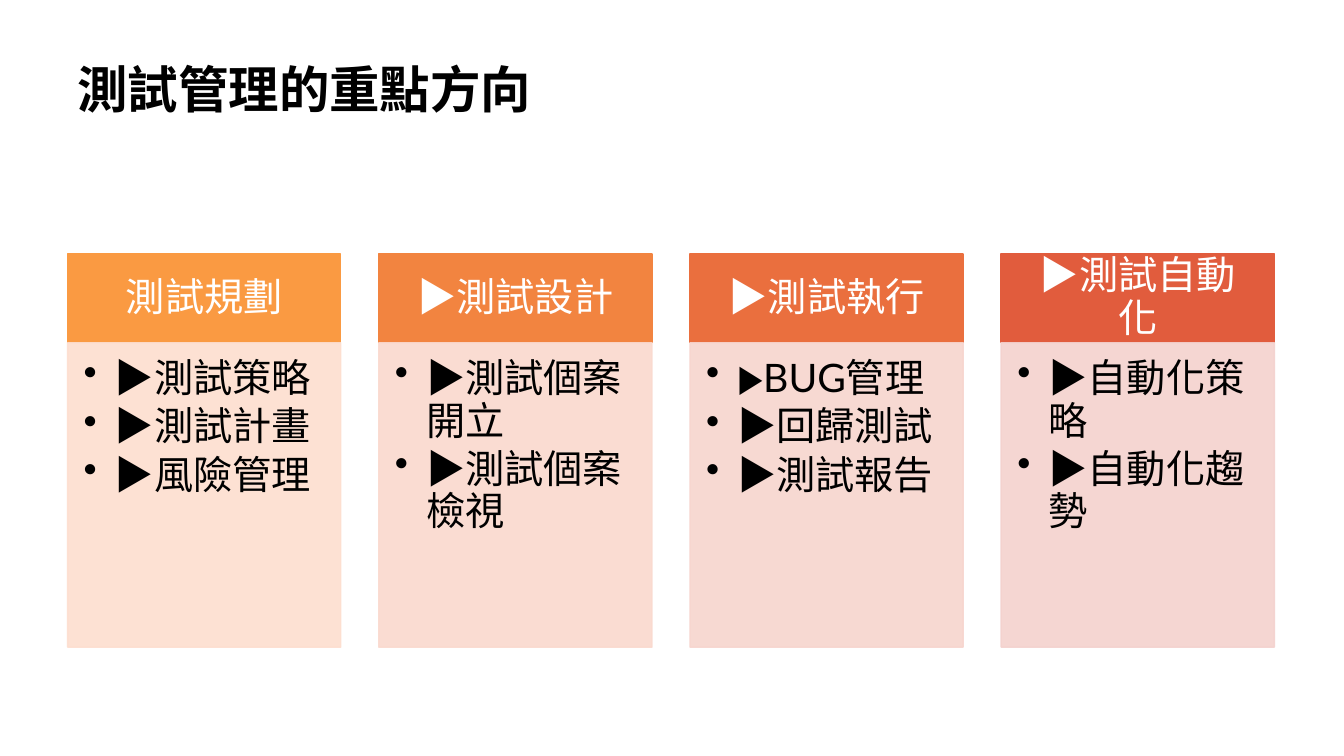
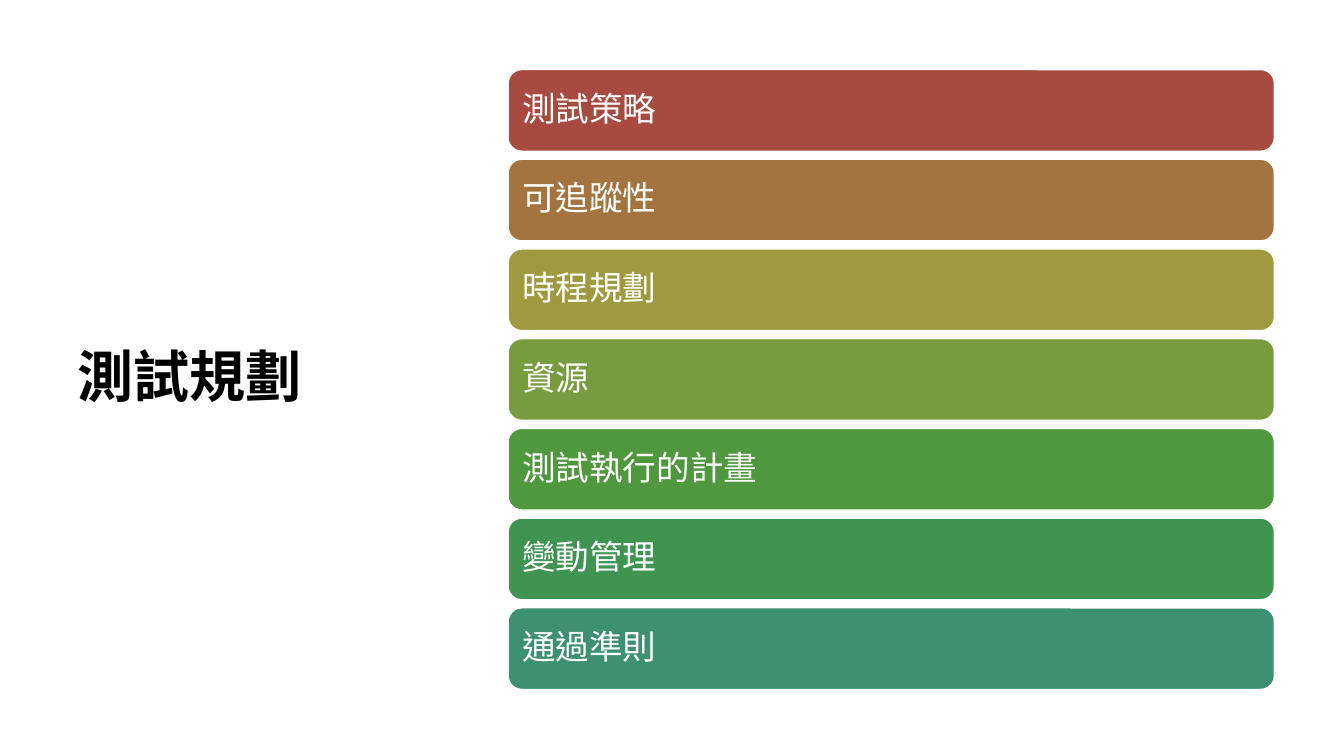
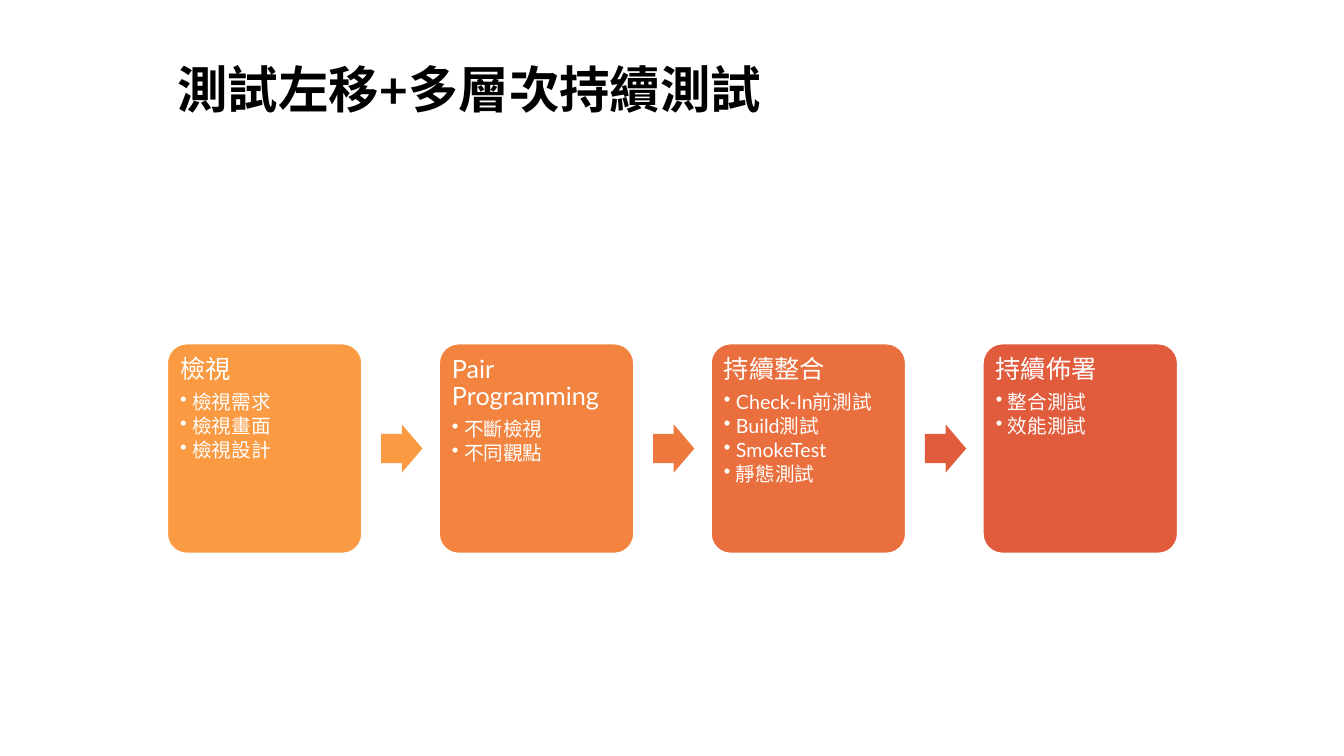
"""Builds three slides on test management: focus areas, planning topics and continuous testing."""
from lxml.etree import SubElement
from pptx import Presentation
from pptx.dml.color import RGBColor
from pptx.enum.shapes import MSO_SHAPE
from pptx.enum.text import MSO_ANCHOR, PP_ALIGN
from pptx.oxml.ns import qn
from pptx.util import Inches, Pt

SLIDE_WIDTH, SLIDE_HEIGHT = 13.33, 7.5
MARGIN, CONTENT_WIDTH = 0.67, 11.97
FLOW_LEFT, FLOW_WIDTH = 1.66, 10.02
TITLE_TOP, TITLE_HEIGHT = 0.6, 1.24
FONT = "Lato"
LANGUAGE = "zh-TW"
LINE_SPACING = 0.9
HEADING_GAP, BULLET_GAP = 0.35, 0.15

BLACK = RGBColor(0x00, 0x00, 0x00)
WHITE = RGBColor(0xFF, 0xFF, 0xFF)
AMBER = RGBColor(0xFA, 0x9A, 0x42)
ORANGE = RGBColor(0xF2, 0x84, 0x40)
TANGERINE = RGBColor(0xEE, 0x79, 0x3F)
CORAL = RGBColor(0xEA, 0x6F, 0x3E)
VERMILION = RGBColor(0xE1, 0x5C, 0x3D)
PALE_AMBER = RGBColor(0xFD, 0xDE, 0xCF)
PALE_ORANGE = RGBColor(0xFA, 0xD9, 0xCE)
PALE_CORAL = RGBColor(0xF7, 0xD5, 0xCE)
PALE_VERMILION = RGBColor(0xF4, 0xD2, 0xCE)
BRICK = RGBColor(0xA7, 0x4B, 0x40)
BROWN = RGBColor(0xA3, 0x74, 0x40)
OLIVE = RGBColor(0x9F, 0x9A, 0x3F)
MOSS = RGBColor(0x79, 0x9B, 0x3F)
LEAF = RGBColor(0x50, 0x98, 0x3E)
GREEN = RGBColor(0x3E, 0x94, 0x50)
TEAL = RGBColor(0x3D, 0x90, 0x72)

FOCUS_AREAS = [
    ("測試規劃", ["▶測試策略", "▶測試計畫", "▶風險管理"], AMBER, PALE_AMBER),
    ("▶測試設計", ["▶測試個案開立", "▶測試個案檢視"], ORANGE, PALE_ORANGE),
    ("▶測試執行", ["▶BUG管理", "▶回歸測試", "▶測試報告"], CORAL, PALE_CORAL),
    ("▶測試自動化", ["▶自動化策略", "▶自動化趨勢"], VERMILION, PALE_VERMILION),
]
PLANNING_TOPICS = [
    ("測試策略", BRICK),
    ("可追蹤性", BROWN),
    ("時程規劃", OLIVE),
    ("資源", MOSS),
    ("測試執行的計畫", LEAF),
    ("變動管理", GREEN),
    ("通過準則", TEAL),
]
STAGES = [
    ("檢視", ["檢視需求", "檢視畫面", "檢視設計"], AMBER),
    ("Pair Programming", ["不斷檢視", "不同觀點"], ORANGE),
    ("持續整合", ["Check-In前測試", "Build測試", "SmokeTest", "靜態測試"], CORAL),
    ("持續佈署", ["整合測試", "效能測試"], VERMILION),
]
ARROW_COLORS = [AMBER, TANGERINE, VERMILION]


def spread(start, length, count, size):
    """Return the starts of equal items spread over a length."""
    pitch = (length - size) / (count - 1)
    return [start + index * pitch for index in range(count)]


def set_opacity(block, percent):
    """Make the fill and outline of a block partly transparent."""
    for color in list(block._element.spPr.iter(qn("a:srgbClr"))):
        SubElement(color, qn("a:alpha")).set("val", str(percent * 1000))


def add_block(slide, preset, box, fill, outline=None, corner=None):
    """Draw a filled preset shape, outlined only when a colour is given."""
    block = slide.shapes.add_shape(preset, *map(Inches, box))
    block.shadow.inherit = False
    block.fill.solid()
    block.fill.fore_color.rgb = fill
    if outline is None:
        block.line.fill.background()
    else:
        block.line.color.rgb = outline
        block.line.width = Pt(1)
    if corner is not None:
        block.adjustments[0] = corner
    return block


def prepare_frame(shape, insets, anchor=MSO_ANCHOR.TOP):
    """Set wrapping, anchor and insets (left, top, right, bottom) of a text frame."""
    frame = shape.text_frame
    frame.word_wrap = True
    frame.vertical_anchor = anchor
    frame.margin_left, frame.margin_top, frame.margin_right, frame.margin_bottom = map(Inches, insets)
    return frame


def write(paragraph, text, size, color, gap=0.0, indent=None, align=PP_ALIGN.LEFT, bold=False):
    """Fill a paragraph, bulleted when an indent is given; gap is a share of the size."""
    paragraph.text = text
    paragraph.alignment = align
    paragraph.line_spacing = LINE_SPACING
    paragraph.space_after = Pt(size * gap)
    if indent is not None:
        paragraph.level = 1
        properties = paragraph._p.get_or_add_pPr()
        properties.set("marL", str(Inches(indent)))
        properties.set("indent", str(-Inches(indent)))
        SubElement(properties, qn("a:buChar")).set("char", "•")
    for run in paragraph.runs:
        run.font.name = FONT
        run.font.size = Pt(size)
        run.font.bold = bold
        run.font.color.rgb = color
        run._r.get_or_add_rPr().set("lang", LANGUAGE)


def write_bullets(frame, items, size, color, indent):
    """Write bullets below whatever the frame already holds."""
    for item in items:
        first = frame.paragraphs[0]
        paragraph = frame.add_paragraph() if first.runs else first
        write(paragraph, item, size, color, BULLET_GAP, indent)


def add_title(slide, text, left, width, height=TITLE_HEIGHT, size=36, anchor=MSO_ANCHOR.TOP):
    """Add a bold slide title."""
    title = slide.shapes.add_textbox(*map(Inches, (left, TITLE_TOP, width, height)))
    frame = prepare_frame(title, (0.1, 0.05, 0.1, 0.05), anchor)
    write(frame.paragraphs[0], text, size, BLACK, bold=True)


def build_focus_slide(slide):
    """Show the focus areas as headed columns."""
    add_title(slide, "測試管理的重點方向", MARGIN, CONTENT_WIDTH)
    width, top, heading_height, body_height = 2.71, 2.52, 0.88, 3.02
    lefts = spread(MARGIN, CONTENT_WIDTH, len(FOCUS_AREAS), width)
    for left, (area, tasks, color, tint) in zip(lefts, FOCUS_AREAS):
        heading = add_block(slide, MSO_SHAPE.RECTANGLE, (left, top, width, heading_height), color, color)
        frame = prepare_frame(heading, (0.22, 0.12, 0.22, 0.12), MSO_ANCHOR.MIDDLE)
        write(frame.paragraphs[0], area, 28, WHITE, HEADING_GAP, align=PP_ALIGN.CENTER)
        body_box = (left, top + heading_height, width, body_height)
        body = add_block(slide, MSO_SHAPE.RECTANGLE, body_box, tint, tint)
        set_opacity(body, 90)
        write_bullets(prepare_frame(body, (0.16, 0.16, 0.22, 0.24)), tasks, 28, BLACK, 0.31)


def build_planning_slide(slide):
    """Show the planning topics as stacked bars."""
    add_title(slide, "測試規劃", MARGIN, 3.82, 6.33, 40, MSO_ANCHOR.MIDDLE)
    left, width, height = 5.04, 7.6, 0.81
    tops = spread(0.69, 6.15, len(PLANNING_TOPICS), height)
    for top, (topic, color) in zip(tops, PLANNING_TOPICS):
        bar = add_block(slide, MSO_SHAPE.ROUNDED_RECTANGLE, (left, top, width, height), color, WHITE)
        frame = prepare_frame(bar, (0.1,) * 4, MSO_ANCHOR.MIDDLE)
        write(frame.paragraphs[0], topic, 24, WHITE, HEADING_GAP)


def build_flow_slide(slide):
    """Show the testing stages as cards joined by block arrows."""
    add_title(slide, "測試左移+多層次持續測試", FLOW_LEFT, FLOW_WIDTH)
    top, width, height = 3.41, 1.93, 2.08
    arrow_gap, arrow_width, arrow_height = 0.19, 0.41, 0.48
    lefts = spread(FLOW_LEFT, FLOW_WIDTH, len(STAGES), width)
    for left, (stage, checks, color) in zip(lefts, STAGES):
        card = add_block(slide, MSO_SHAPE.ROUNDED_RECTANGLE, (left, top, width, height), color, WHITE, corner=0.1)
        frame = prepare_frame(card, (0.07,) * 4)
        write(frame.paragraphs[0], stage, 18, WHITE, HEADING_GAP)
        write_bullets(frame, checks, 14, WHITE, 0.12)
    arrow_top = top + (height - arrow_height) / 2
    for left, color in zip(lefts, ARROW_COLORS):
        arrow_box = (left + width + arrow_gap, arrow_top, arrow_width, arrow_height)
        add_block(slide, MSO_SHAPE.RIGHT_ARROW, arrow_box, color, corner=0.6)


def main():
    """Build and save the presentation."""
    presentation = Presentation()
    presentation.slide_width = Inches(SLIDE_WIDTH)
    presentation.slide_height = Inches(SLIDE_HEIGHT)
    blank = presentation.slide_layouts[6]
    for build in (build_focus_slide, build_planning_slide, build_flow_slide):
        build(presentation.slides.add_slide(blank))
    presentation.save("out.pptx")


if __name__ == "__main__":
    main()
